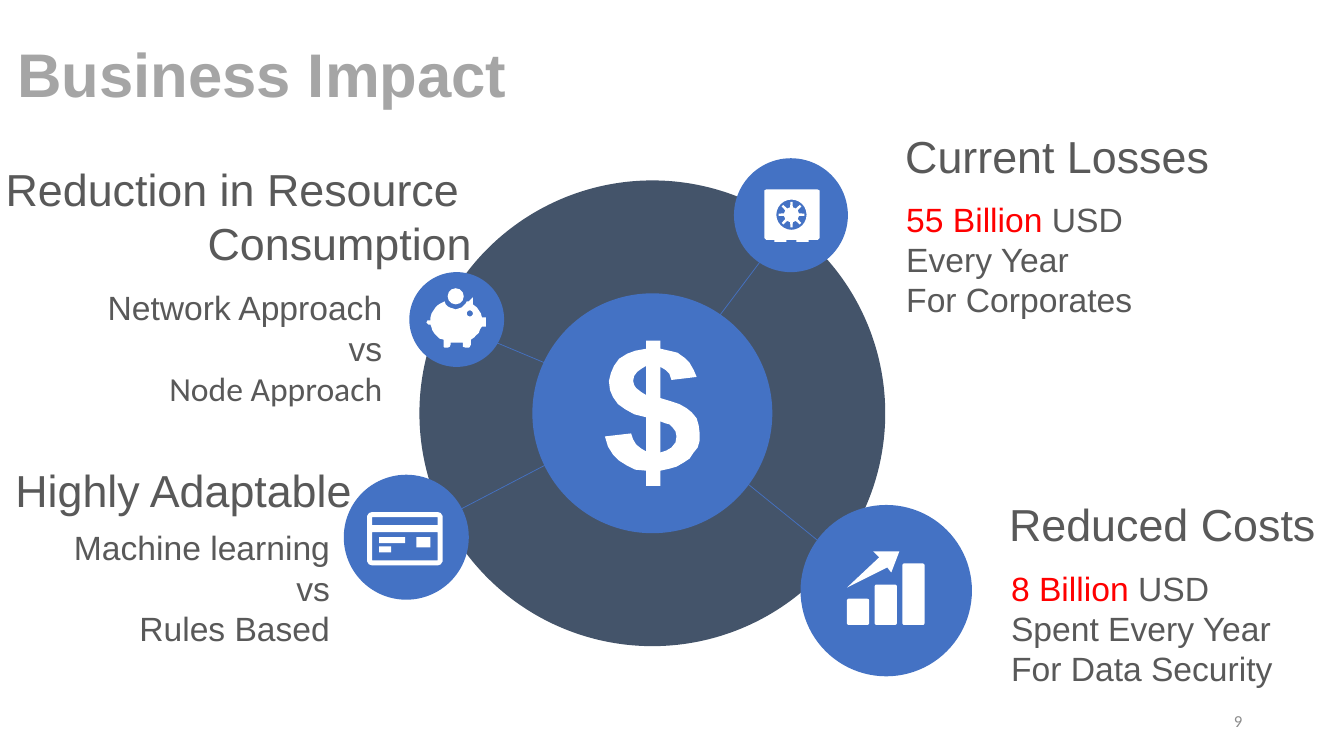
from math import cos, radians, sin

from lxml.etree import SubElement
from pptx import Presentation
from pptx.dml.color import RGBColor
from pptx.enum.shapes import MSO_CONNECTOR as Link, MSO_SHAPE as Shape
from pptx.enum.text import MSO_ANCHOR as Anchor, MSO_AUTO_SIZE as Fit, PP_ALIGN as Align
from pptx.oxml.ns import qn
from pptx.util import Inches, Pt

BLUE, SLATE, WHITE = "4472C4", "44546A", "FFFFFF"
GREY, RED, SILVER, PALE = "595959", "FF0000", "A5A5A5", "8C8C8C"
ROWS = 75

HEADING = {"size": Pt(32), "name": "Arial"}
BODY = {"size": Pt(24), "name": "Arial"}

DOLLAR = [
    [(55, 80), (55, 111), (61, 109), (66, 106), (70, 101), (71, 95), (70, 90),
     (67, 86), (64, 83), (60, 82)],
    [(41, 25), (36, 28), (32, 31), (29, 35), (28, 40), (29, 44), (31, 47),
     (36, 51), (41, 54)],
    [(41, 0), (55, 0), (55, 8), (64, 10), (72, 12), (79, 17), (84, 22), (88, 29),
     (91, 36), (66, 39), (64, 33), (60, 29), (55, 26), (55, 57), (65, 60), (74, 63),
     (81, 67), (86, 71), (91, 77), (93, 84), (94, 92), (94, 99), (92, 106),
     (88, 111), (84, 117), (78, 121), (71, 125), (64, 127), (55, 129), (55, 144),
     (41, 144), (41, 129), (30, 128), (22, 124), (14, 119), (8, 113), (3, 105),
     (0, 95), (26, 92), (28, 98), (31, 103), (36, 107), (41, 110), (41, 76),
     (29, 73), (20, 68), (13, 63), (8, 56), (5, 49), (4, 40), (6, 32), (9, 25),
     (14, 18), (22, 13), (30, 10), (41, 8)],
]
PIG = [
    (46, 0), (46, 7), (50, 10), (52, 13), (54, 16), (55, 20), (59, 20), (59, 29),
    (55, 29), (53, 32), (52, 35), (49, 38), (47, 40), (44, 42), (44, 47), (43, 49),
    (42, 50), (39, 50), (36, 49), (36, 45), (24, 45), (24, 47), (23, 49), (21, 50),
    (18, 50), (17, 49), (17, 42), (13, 41), (10, 38), (8, 36), (6, 33), (5, 30),
    (4, 27), (2, 27), (0, 25), (1, 23), (4, 23), (4, 20), (5, 16), (7, 13), (9, 10),
    (11, 8), (14, 6), (18, 4), (19, 7), (21, 9), (23, 10), (26, 11), (29, 12),
    (32, 11), (35, 10), (37, 8), (39, 6), (40, 4), (42, 4),
]
SAFE = [
    (2, 0), (53, 0), (55, 1), (55, 48), (53, 50), (44, 50), (44, 52), (32, 52),
    (32, 50), (22, 50), (22, 52), (10, 52), (10, 50), (2, 50), (0, 48), (0, 1),
]
CARD = [
    (5, 0), (70, 0), (73, 1), (75, 4), (75, 49), (73, 52), (70, 53), (5, 53),
    (2, 52), (0, 49), (0, 4), (2, 1),
]
ARROW = [(26, 0), (52, 0), (44, 21), (40, 16), (0, 36), (32, 6)]

CIRCLES = [(72.8, 15.7, 11.3), (79.4, 50.1, 17), (34.1, 47.1, 12.4), (40.6, 27, 9.4)]
SPOKES = [(72.8, 46.9, 83.8, 55.8), (44, 51.4, 57.8, 44.2),
          (55.7, 36.7, 46.4, 32.8), (78.3, 22.1, 69.8, 33.4)]
CARD_MARKS = [(41.3, 53.3, 1.4, 1), (37.6, 53.3, 2.6, 0.6), (37.6, 54.2, 1.2, 0.6)]

DETAILS = [
    ((9.2, 28, 29.7, 13.1), Align.RIGHT,
     [[("Network Approach", GREY, {})], [("vs", GREY, {})],
      [("Node Approach", GREY, {"name": "Calibri"})]]),
    ((4.2, 51.8, 29.5, 13.1), Align.RIGHT,
     [[(line, GREY, {})] for line in ("Machine learning", "vs", "Rules Based")]),
    ((88.9, 19.2, 26.7, 13.1), Align.LEFT,
     [[("55 Billion ", RED, {}), ("USD", GREY, {})],
      [("Every Year", GREY, {})], [("For Corporates", GREY, {})]]),
    ((99.3, 55.8, 29.7, 13.1), Align.LEFT,
     [[("8 Billion ", RED, {}), ("USD", GREY, {})],
      [("Spent Every Year", GREY, {})], [("For Data Security", GREY, {})]]),
]
HEADINGS = [
    ((-0.8, 15.6, 48.6, 11.8), Align.RIGHT, ["Reduction in Resource ", "Consumption"]),
    ((0.2, 45.4, 35.7, 6.4), Align.RIGHT, ["Highly Adaptable"]),
    ((88.8, 12.3, 32.4, 6.4), Align.LEFT, ["Current Losses"]),
    ((99.1, 48.8, 32.7, 6.4), Align.LEFT, ["Reduced Costs"]),
]


def color(code):
    """Turn a hex string into a colour."""
    return RGBColor.from_string(code)


def ring(x, y, radius, count=24):
    """Return points evenly spaced around a circle."""
    angles = [radians(360 * step / count) for step in range(count)]
    return [(x + radius * cos(a), y + radius * sin(a)) for a in angles]


def wheel(x, y, hub, rim, count=8):
    """Return the outline of a hub with evenly spaced spokes."""
    corners = [(360 * step / count + turn, radius) for step in range(count)
               for turn, radius in ((-10, hub), (-5, rim), (5, rim), (10, hub))]
    return [(x + r * cos(radians(a)), y + r * sin(radians(a))) for a, r in corners]


def frame(left, top, right, bottom):
    """Return the corners of a rectangle."""
    return [(left, top), (right, top), (right, bottom), (left, bottom)]


class Page:
    """Draw elements on a slide with a grid of square cells, 75 rows high."""

    def __init__(self, deck):
        """Add a title-only slide and measure one cell."""
        self.slide = deck.slides.add_slide(deck.slide_layouts[5])
        self.shapes = self.slide.shapes
        self.cell = deck.slide_height / ROWS

    def grid(self, *cells):
        """Turn counts of cells into lengths."""
        return [round(count * self.cell) for count in cells]

    def paint(self, shape, fill):
        """Give a shape a plain fill with no line or shadow."""
        shape.shadow.inherit = False
        shape.fill.solid()
        shape.fill.fore_color.rgb = color(fill)
        shape.line.fill.background()

    def shape(self, kind, place, fill):
        """Add a preset shape."""
        shape = self.shapes.add_shape(kind, *self.grid(*place))
        self.paint(shape, fill)
        return shape

    def icon(self, left, top, contours):
        """Add a white outline whose points are in tenths of a cell."""
        outlines = [[self.grid(x / 10, y / 10) for x, y in points] for points in contours]
        builder = self.shapes.build_freeform(*outlines[0][0], scale=1.0)
        for index, points in enumerate(outlines):
            if index:
                builder.move_to(*points[0])
            builder.add_line_segments(points[1:], close=True)
        self.paint(builder.convert_to_shape(*self.grid(left, top)), WHITE)

    def line(self, ends):
        """Add a thin straight line."""
        line = self.shapes.add_connector(Link.STRAIGHT, *self.grid(*ends))
        line.line.color.rgb = color(BLUE)
        line.line.width = Pt(0.5)
        SubElement(line._element.spPr, qn("a:effectLst"))

    def fill_text(self, box, lines, style, align, **layout):
        """Fill a box with paragraphs of (text, colour, format) spans."""
        frame_format = {"word_wrap": True, "auto_size": Fit.NONE, **layout}
        for key, value in frame_format.items():
            setattr(box.text_frame, key, value)
        for index, spans in enumerate(lines):
            para = box.text_frame.add_paragraph() if index else box.text_frame.paragraphs[0]
            para.alignment = align
            for text, shade, extra in spans:
                span = para.add_run()
                span.text = text
                span.font.color.rgb = color(shade)
                for key, value in {**style, **extra}.items():
                    setattr(span.font, key, value)

    def text(self, place, lines, style, align, **layout):
        """Add a text box."""
        box = self.shapes.add_textbox(*self.grid(*place))
        self.fill_text(box, lines, style, align, **layout)

    def title(self, place, words):
        """Move and format the title placeholder."""
        box = self.shapes.title
        for key, value in zip(("left", "top", "width", "height"), self.grid(*place)):
            setattr(box, key, value)
        style = {"size": Pt(44), "name": "Arial", "bold": True}
        self.fill_text(box, [[(words, SILVER, {})]], style, Align.LEFT,
                       vertical_anchor=Anchor.MIDDLE)
        box.text_frame.paragraphs[0].line_spacing = 0.9


def main():
    """Build the slide and save it."""
    deck = Presentation()
    deck.slide_width, deck.slide_height = Inches(13.33), Inches(7.5)
    page = Page(deck)
    page.title((0.7, 0.4, 115, 14.5), "Business Impact")
    page.shape(Shape.OVAL, (41.6, 17.9, 46.2, 46.2), SLATE)
    for ends in SPOKES:
        page.line(ends)
    page.shape(Shape.OVAL, (52.8, 29.1, 23.8, 23.8), BLUE)
    page.icon(60, 33.8, DOLLAR)
    for left, top, size in CIRCLES:
        page.shape(Shape.OVAL, (left, top, size, size), BLUE)
    page.shape(Shape.OVAL, (44.4, 28.6, 1.6, 1.6), WHITE)
    page.icon(42.3, 29.5, [PIG, ring(43, 16, 3)])
    page.icon(75.8, 18.8, [SAFE, ring(27, 25, 15)])
    page.icon(75.8, 18.8, [wheel(27, 25, 7.5, 12.7)])
    page.icon(84, 54.7, [ARROW])
    for index, height in enumerate((2.6, 4, 6.1)):
        bar = page.shape(Shape.ROUNDED_RECTANGLE,
                         (84 + 2.75 * index, 62 - height, 2.2, height), WHITE)
        bar.adjustments[0] = 0.08
    page.icon(36.4, 50.8, [CARD, frame(5, 5, 70, 13), frame(5, 20, 70, 48)])
    for place in CARD_MARKS:
        page.shape(Shape.RECTANGLE, place, WHITE)
    for place, align, lines in DETAILS:
        page.text(place, lines, BODY, align, auto_size=Fit.SHAPE_TO_FIT_TEXT)
    for place, align, words in HEADINGS:
        page.text(place, [[(line, GREY, {})] for line in words], HEADING, align,
                  word_wrap=False, auto_size=Fit.SHAPE_TO_FIT_TEXT)
    page.text((94.2, 69.5, 30, 4), [[("9", PALE, {})]], {"size": Pt(12), "name": "Calibri"},
              Align.RIGHT, vertical_anchor=Anchor.MIDDLE)
    deck.save("out.pptx")


if __name__ == "__main__":
    main()
